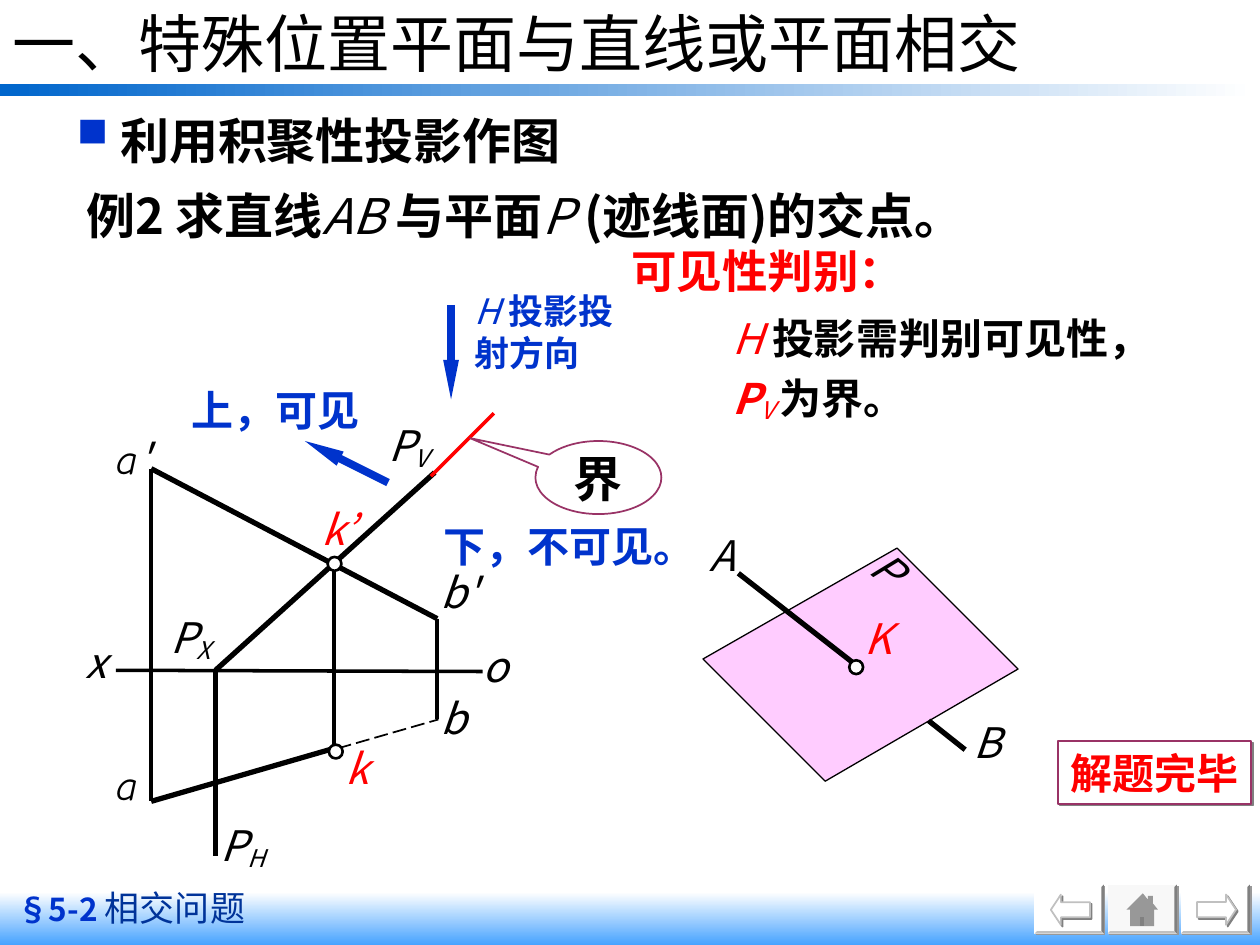
from lxml import etree
from pptx import Presentation
from pptx import util as u
from pptx.dml.color import RGBColor
from pptx.enum import dml, shapes, text
from pptx.oxml import ns

SANS, ITAL = "Noto Sans CJK SC", "Noto Sans CJK JP"
HAND, SERIF = "Comic Neue", "Times New Roman"
BLACK, WHITE = RGBColor(0, 0, 0), RGBColor(255, 255, 255)
RED, BLUE = RGBColor(255, 0, 0), RGBColor(0x00, 0x33, 0xCC)
NAVY, PLUM = RGBColor(0x00, 0x33, 0x99), RGBColor(0x99, 0x33, 0x66)
BAR, SKY = RGBColor(0x00, 0x66, 0xCC), RGBColor(0x47, 0xA3, 0xFF)
PINK, SILVER = RGBColor(0xFF, 0xCC, 0xFF), RGBColor(0xC0, 0xC0, 0xC0)
GRAY, SHADE = RGBColor(0x80, 0x80, 0x80), RGBColor(0x98, 0x98, 0x98)
FACE = RGBColor(0xF8, 0xF8, 0xF8)
KIND = shapes.MSO_SHAPE


def add(node, tag, **attrs):
    return etree.SubElement(node, ns.qn("a:" + tag), attrs)


def write(shape, lines, pad=(0.1, 0.05), left=0, anchor="TOP", align="LEFT",
          wrap=True, space=1, bullet=None, **form):
    """Fill a shape with paragraphs; each is a string or (text, format) runs."""
    frame = shape.text_frame
    frame.word_wrap = wrap
    frame.vertical_anchor = getattr(text.MSO_ANCHOR, anchor)
    frame.margin_left, frame.margin_right = u.Inches(pad[0] + left), u.Inches(pad[0])
    frame.margin_top = frame.margin_bottom = u.Inches(pad[1])
    for i, line in enumerate([lines] if isinstance(lines, str) else lines):
        para = frame.add_paragraph() if i else frame.paragraphs[0]
        para.alignment = getattr(text.PP_ALIGN, align)
        if i:
            para.line_spacing = space
        if bullet:
            prop = para._p.get_or_add_pPr()
            prop.set("marL", str(u.Inches(0.31)))
            prop.set("indent", str(u.Inches(-0.31)))
            add(add(prop, "buClr"), "srgbClr", val=str(BLUE))
            add(prop, "buSzPct", val="150000")
            add(prop, "buChar", char=bullet)
        for words, own in [(line, {})] if isinstance(line, str) else line:
            look = {"font": SANS, "size": 24, "color": BLACK, **form, **own}
            run = para.add_run()
            run.text = words
            run.font.name, run.font.size = look["font"], u.Pt(look["size"])
            run.font.color.rgb = look["color"]
            run.font.bold = look.get("bold", False)
            run.font.italic = look.get("italic", False)
            prop = run._r.get_or_add_rPr()
            add(prop, "ea", typeface=ITAL if look["font"] == ITAL else SANS)
            if "base" in look:
                prop.set("baseline", str(look["base"] * 1000))


def label(slide, box, lines, turn=0, fill=None, **form):
    shape = slide.shapes.add_textbox(*map(u.Inches, box))
    shape.rotation = turn
    if fill is not None:
        shape.fill.solid()
        shape.fill.fore_color.rgb = fill
    write(shape, lines, **form)


def paint(shape, fill=None, line=None, width=1, shadow=None):
    shape.shadow.inherit = False
    if fill is None:
        shape.fill.background()
    else:
        shape.fill.solid()
        shape.fill.fore_color.rgb = fill
    if line is None:
        shape.line.fill.background()
    else:
        shape.line.color.rgb, shape.line.width = line, u.Pt(width)
    if shadow is not None:
        cast = add(shape._element.spPr.find(ns.qn("a:effectLst")), "outerShdw",
                   dist=str(u.Pt(1.4)), dir="2700000", algn="ctr", rotWithShape="0")
        add(cast, "srgbClr", val=str(shadow))
    return shape


def form(slide, kind, box, **look):
    return paint(slide.shapes.add_shape(kind, *map(u.Inches, box)), **look)


def poly(slide, x, y, dots, **look):
    dots = [(u.Inches(x + a), u.Inches(y + b)) for a, b in dots]
    pen = slide.shapes.build_freeform(*dots[0], scale=1.0)
    pen.add_line_segments(dots[1:], close=True)
    return paint(pen.convert_to_shape(), **look)


def stroke(slide, x, y, ends, width=0, color=BLACK, dash=False, arrow=False):
    a, b, c, d = ends
    line = slide.shapes.add_connector(shapes.MSO_CONNECTOR.STRAIGHT, *map(
        u.Inches, (x + a, y + b, x + c, y + d)))
    line.line.color.rgb, line.line.width = color, u.Pt(width)
    if dash:
        line.line.dash_style = dml.MSO_LINE.LONG_DASH
    if arrow:
        add(line.line._get_or_add_ln(), "tailEnd", type="triangle", w="sm", len="lg")
    add(line._element.spPr, "effectLst")


def ring(slide, x, y):
    form(slide, KIND.OVAL, (x, y, 0.11, 0.11), fill=WHITE, line=BLACK, width=1.5)


def band(slide, box, first, last, angle):
    shape = form(slide, KIND.RECTANGLE, box)
    shape.fill.gradient()
    shape.fill.gradient_angle = angle
    for stop, color in zip(shape.fill.gradient_stops, (first, last)):
        stop.color.rgb = color


def frame(slide, x, y):
    # Title, rule and footer
    band(slide, (x, y + 0.67, 9.96, 0.09), BAR, WHITE, 0)
    band(slide, (x, y + 7.08, 10, 0.42), WHITE, SKY, 270)
    label(slide, (x + 0.04, y + 6.99, 4.67, 0.44), [[
        ("§5-2 ", dict(size=18, color=BLUE, bold=True)),
        ("相交问题", dict(size=20, color=NAVY))]])
    label(slide, (x, y, 8.5, 0.67), "一、特殊位置平面与直线或平面相交",
          size=36, font="Roboto", anchor="MIDDLE")


def task(slide, x, y):
    # Heading and problem
    label(slide, (x, y, 9.17, 0.57), "利用积聚性投影作图", bullet="▪", size=28, bold=True)
    thin = dict(font=ITAL, bold=False, italic=True)
    label(slide, (x, y + 0.59, 9.17, 0.57), [[
        ("例2 求直线", {}), ("AB ", thin), ("与平面", {}), ("P ", thin),
        ("(迹线面)的交点。", {})]], left=0.17, size=28, bold=True)


def notes(slide, x, y):
    # Visibility rule
    label(slide, (x, y, 5.25, 0.54), "可见性判别：", left=0.16,
          size=26, color=RED, bold=True)
    red = dict(font=ITAL, color=RED, italic=True)
    thin = dict(red, bold=False)
    label(slide, (x + 0.81, y + 0.55, 4.08, 0.99), [
        [("H ", thin), ("投影需判别可见性，", {})],
        [("P", red), ("V ", dict(thin, base=-10)), ("为界。", {})]],
        left=0.15, space=1.2, bold=True)


def views(slide, x, y):
    # Thin axis and projectors
    for ends in ((0.42, 3.32, 3.47, 3.33), (2.97, 2.91, 2.97, 3.71),
                 (0.7, 1.72, 0.7, 4.36), (2.15, 2.48, 2.15, 3.94)):
        stroke(slide, x, y, ends)
    # Line AB and the traces of P
    for ends in ((0.7, 1.72, 2.97, 2.91), (1.21, 3.32, 1.21, 4.79),
                 (1.21, 3.32, 2.95, 1.75), (0.7, 4.36, 2.15, 3.94)):
        stroke(slide, x, y, ends, width=3)
    stroke(slide, x, y, (2.18, 3.94, 2.98, 3.71), width=1, dash=True)
    ring(slide, x + 2.1, y + 2.42)
    ring(slide, x + 2.11, y + 3.91)
    # Point and trace names
    prime = [[("a", dict(font=HAND)), ("'", {})]]
    for a, b, name, look in (
            (2.05, 2, "k’", dict(color=RED)), (2.24, 3.89, "k", dict(color=RED)),
            (3.33, 3.08, "o", dict(fill=WHITE)), (3, 3.5, "b", {}),
            (0.42, 4.02, "a", dict(font=HAND)), (3, 2.5, "b'", {}),
            (0.42, 1.43, prime, {}), (0.18, 3.05, "x", {})):
        wide = 0.31 if name == "o" else 0.5
        label(slide, (x + a, y + b, wide, 0.4), name, pad=(0, 0),
              **{"font": ITAL, "italic": True, **look})
    for a, b, sub in ((1.25, 4.5, "H"), (2.58, 1.33, "V"), (0.85, 2.85, "X")):
        label(slide, (x + a, y + b, 0.75, 0.42), [[("P", {}), (sub, dict(base=-15))]],
              pad=(0, 0), font=ITAL, italic=True)


def hints(slide, x, y):
    # Viewing direction, visible and hidden sides
    for ends in ((2.58, 1.83, 1.92, 1.5), (3.08, 0.42, 3.08, 1.17)):
        stroke(slide, x, y, ends, width=4.5, color=BLUE, arrow=True)
    stroke(slide, x, y, (2.92, 1.78, 3.42, 1.28), width=2, color=RED)
    blue = dict(color=BLUE, bold=True, font=SERIF)
    label(slide, (x + 0.92, y + 1, 1.53, 0.5), "上，可见", wrap=False, **blue)
    label(slide, (x + 2.92, y + 2.08, 2.69, 0.5), "下，不可见。", **blue)
    label(slide, (x + 3.17, y + 0.25, 1.49, 0.77), [[
        ("H ", dict(font=ITAL, bold=False, italic=True)),
        ("投影投射方向", dict(font=SANS))]], size=20, **blue)
    # Boundary callout
    call = form(slide, KIND.OVAL_CALLOUT, (x + 3.75, y + 1.5, 1, 0.58), line=PLUM)
    call.adjustments[0], call.adjustments[1] = -1.02, -0.54
    write(call, "界", size=28, bold=True, font=SERIF, anchor="MIDDLE", align="CENTER")


def scene(slide, x, y):
    # Plane P cut by line AB at K
    poly(slide, x, y, [(2.58, 1.31), (1.62, 0.35), (0.08, 1.23), (1.05, 2.2)],
         fill=PINK, line=BLACK, width=0)
    for ends in ((0.36, 0.55, 1.27, 1.26), (1.87, 1.72, 2.16, 1.95)):
        stroke(slide, x, y, ends, width=3)
    slant = dict(font=ITAL, italic=True)
    label(slide, (x + 1.35, y + 0.25, 0.39, 0.5), "P", turn=39.5, wrap=False, **slant)
    label(slide, (x + 0.03, y + 0.15, 0.67, 0.5), "A", **slant)
    label(slide, (x + 2.13, y + 1.64, 0.67, 0.5), "B", **slant)
    label(slide, (x + 1.36, y + 0.86, 0.45, 0.4), "K", pad=(0, 0), color=RED, **slant)
    ring(slide, x + 1.24, y + 1.24)


def button(slide, x, y, kind):
    # Bevelled key with an arrow or a house
    w, h, e = 0.55, 0.39, 0.02
    poly(slide, x, y, [(0, 0), (w, 0), (w, h), (0, h)],
         fill=FACE if kind == "home" else WHITE, shadow=SHADE)
    poly(slide, x, y, [(w, 0), (w, h), (w - e, h - e), (w - e, e)], fill=GRAY)
    poly(slide, x, y, [(w, h), (0, h), (e, h - e), (w - e, h - e)], fill=SILVER)
    if kind == "home":
        poly(slide, x, y, [(0.28, 0.07), (0.32, 0.12), (0.32, 0.09), (0.36, 0.09),
                           (0.36, 0.15), (0.4, 0.2), (0.37, 0.2), (0.37, 0.33),
                           (0.18, 0.33), (0.18, 0.2), (0.15, 0.2)], fill=SHADE)
        poly(slide, x, y, [(0.26, 0.26), (0.29, 0.26), (0.29, 0.33), (0.26, 0.33)], fill=GRAY)
        return
    arrow = form(slide, KIND.RIGHT_ARROW, (x + 0.13, y + 0.08, 0.31, 0.24),
                 fill=WHITE, line=SILVER, shadow=GRAY)
    arrow.adjustments[1] = 0.33
    arrow.rotation = 180 if kind == "back" else 0


def main():
    deck = Presentation()
    deck.slide_width, deck.slide_height = u.Inches(10), u.Inches(7.5)
    slide = deck.slides.add_slide(deck.slide_layouts[6])
    frame(slide, 0, 0)
    views(slide, 0.5, 2)
    scene(slide, 5.5, 4)
    hints(slide, 0.5, 2)
    task(slide, 0.42, 0.83)
    notes(slide, 4.75, 1.88)
    done = form(slide, KIND.RECTANGLE, (8.4, 5.88, 1.53, 0.5), fill=WHITE,
                line=PLUM, shadow=GRAY)
    write(done, "解题完毕", color=RED, bold=True, font=SERIF, wrap=False)
    for i, kind in enumerate(("back", "home", "next")):
        button(slide, 8.21 + 0.58 * i, 7.02, kind)
    deck.save("out.pptx")


if __name__ == "__main__":
    main()
